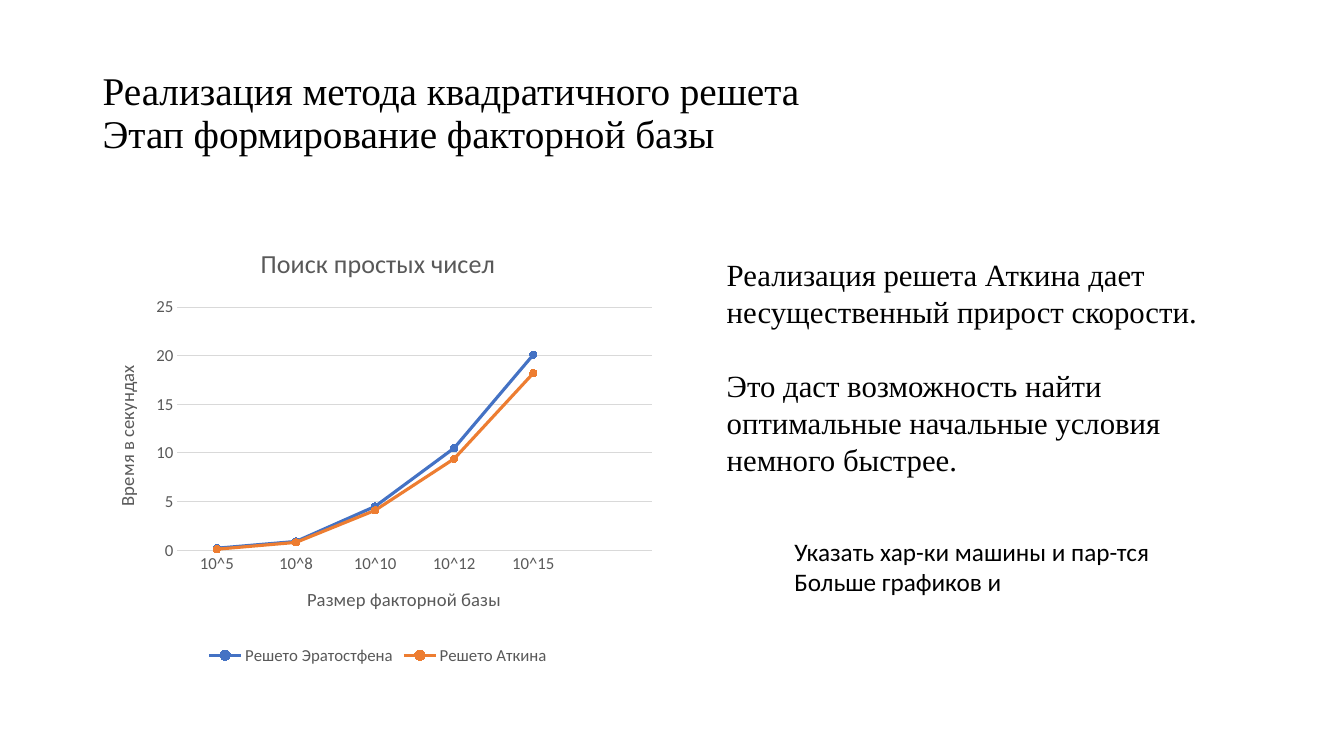
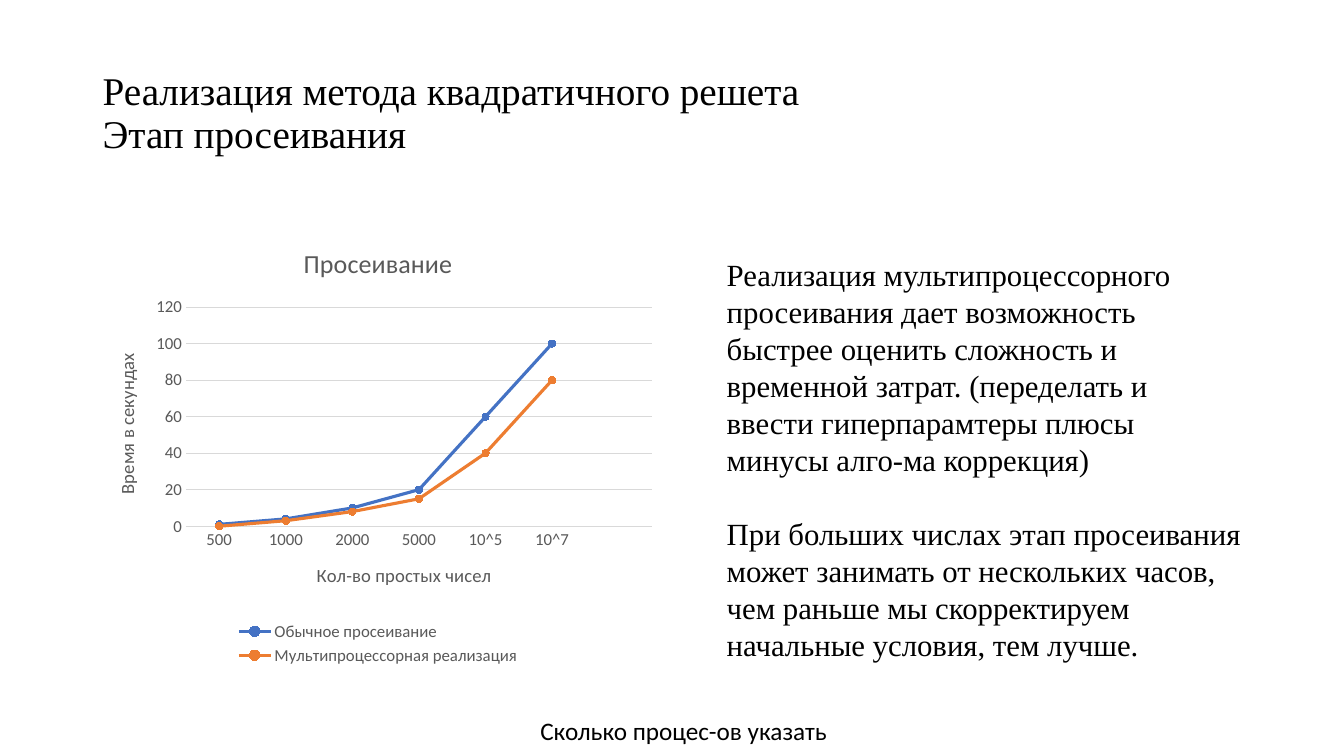
from pptx import Presentation
from pptx.chart.data import CategoryChartData
from pptx.dml.color import RGBColor
from pptx.enum.chart import XL_CHART_TYPE as CT, XL_LEGEND_POSITION as LP
from pptx.enum.chart import XL_MARKER_STYLE as MS, XL_TICK_MARK as TM
from pptx.enum.text import MSO_ANCHOR as ANCHOR
from pptx.util import Inches, Pt

BLACK = RGBColor(0x00, 0x00, 0x00)
GRAY = RGBColor(0x59, 0x59, 0x59)
GRID = RGBColor(0xD9, 0xD9, 0xD9)
BLUE = RGBColor(0x44, 0x72, 0xC4)
ORANGE = RGBColor(0xED, 0x7D, 0x31)
SERIF, SANS = "Times New Roman", "Calibri"

SLIDES = [
    dict(
        stage="Этап формирование факторной базы",
        chart="Поиск простых чисел",
        x_title="Размер факторной базы",
        cats=["10^5", "10^8", "10^10", "10^12", "10^15"],
        series={"Решето Эратостфена": [0.2, 0.9, 4.5, 10.5, 20.1],
                "Решето Аткина": [0.1, 0.8, 4.1, 9.4, 18.2]},
        body=["Реализация решета Аткина дает несущественный прирост скорости.",
              "Это даст возможность найти оптимальные начальные условия немного быстрее."],
        body_height=2.32,
        note=["Указать хар-ки машины и пар-тся", "Больше графиков и"],
        note_box=(7.78, 5.27, 3.76, 0.71),
    ),
    dict(
        stage="Этап просеивания",
        chart="Просеивание",
        x_title="Кол-во простых чисел",
        cats=["500", "1000", "2000", "5000", "10^5", "10^7"],
        series={"Обычное просеивание": [1, 4, 10, 20, 60, 100],
                "Мультипроцессорная реализация": [0, 3, 8, 15, 40, 80]},
        body=["Реализация мультипроцессорного просеивания дает возможность быстрее "
              "оценить сложность и временной затрат. (переделать и ввести "
              "гиперпарамтеры плюсы минусы алго-ма коррекция)",
              "При больших числах этап просеивания может занимать от нескольких часов, "
              "чем раньше мы скорректируем начальные условия, тем лучше."],
        body_height=4.54,
        note=["Сколько процес-ов указать"],
        note_box=(5.26, 7.05, 3.08, 0.4),
    ),
]


def set_text(tf, paragraphs, size, font=SANS, color=BLACK, gap=0, spacing=None):
    for i, text in enumerate(paragraphs):
        p = tf.paragraphs[0] if i == 0 else tf.add_paragraph()
        p.text = text
        p.line_spacing = spacing
        if i and gap:
            p.space_before = Pt(gap)
        for r in p.runs:
            r.font.size, r.font.name, r.font.bold = Pt(size), font, False
            r.font.color.rgb = color


def add_box(s, box, wrap=True, anchor=ANCHOR.TOP):
    tf = s.shapes.add_textbox(*map(Inches, box)).text_frame
    tf.word_wrap = wrap
    tf.vertical_anchor = anchor
    return tf


prs = Presentation()
prs.slide_width, prs.slide_height = Inches(13.33), Inches(7.5)

for item in SLIDES:
    s = prs.slides.add_slide(prs.slide_layouts[6])

    # Title
    tf = add_box(s, (0.92, 0.4, 11.5, 1.47), anchor=ANCHOR.MIDDLE)
    set_text(tf, ["Реализация метода квадратичного решета\v" + item["stage"]],
             28, font=SERIF, spacing=0.9)

    # Line chart, with an empty last category
    data = CategoryChartData()
    data.categories = item["cats"] + [""]
    for name, values in item["series"].items():
        data.add_series(name, values + [None])
    chart = s.shapes.add_chart(CT.LINE_MARKERS, Inches(0.92), Inches(2.24),
                               Inches(5.66), Inches(4.4), data).chart
    chart.font.name, chart.font.size = SANS, Pt(12)
    chart.font.color.rgb = GRAY
    set_text(chart.chart_title.text_frame, [item["chart"]], 18.6, color=GRAY)
    chart.chart_title.include_in_layout = False
    chart.has_legend = True
    chart.legend.position = LP.BOTTOM
    chart.legend.include_in_layout = False

    # Axes
    x_axis, y_axis = chart.category_axis, chart.value_axis
    for axis, title in ((x_axis, item["x_title"]), (y_axis, "Время в секундах")):
        set_text(axis.axis_title.text_frame, [title], 13.3, color=GRAY)
        axis.major_tick_mark = axis.minor_tick_mark = TM.NONE
    y_axis.format.line.fill.background()
    for line in (x_axis.format.line, y_axis.major_gridlines.format.line):
        line.color.rgb = GRID
        line.width = Pt(0.75)

    # Series
    chart.plots[0].vary_by_categories = False
    for series, color in zip(chart.plots[0].series, (BLUE, ORANGE)):
        series.smooth = False
        series.format.line.color.rgb = color
        series.format.line.width = Pt(2.25)
        marker = series.marker
        marker.style, marker.size = MS.CIRCLE, 5
        marker.format.fill.solid()
        marker.format.fill.fore_color.rgb = color
        marker.format.line.color.rgb = color

    # Conclusions and remark
    tf = add_box(s, (7.11, 2.49, 5.3, item["body_height"]))
    set_text(tf, item["body"], 22, font=SERIF, gap=26.5)
    set_text(add_box(s, item["note_box"], wrap=False), item["note"], 18)

prs.save("out.pptx")
